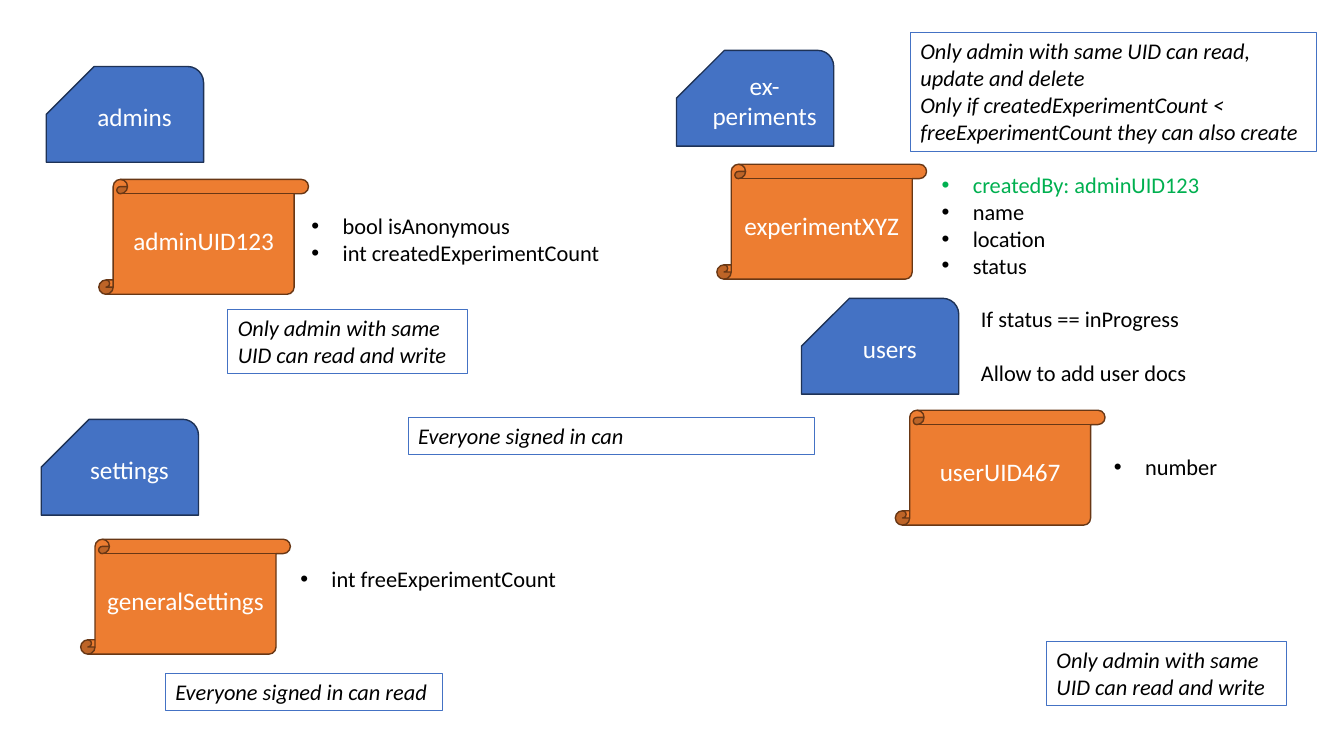
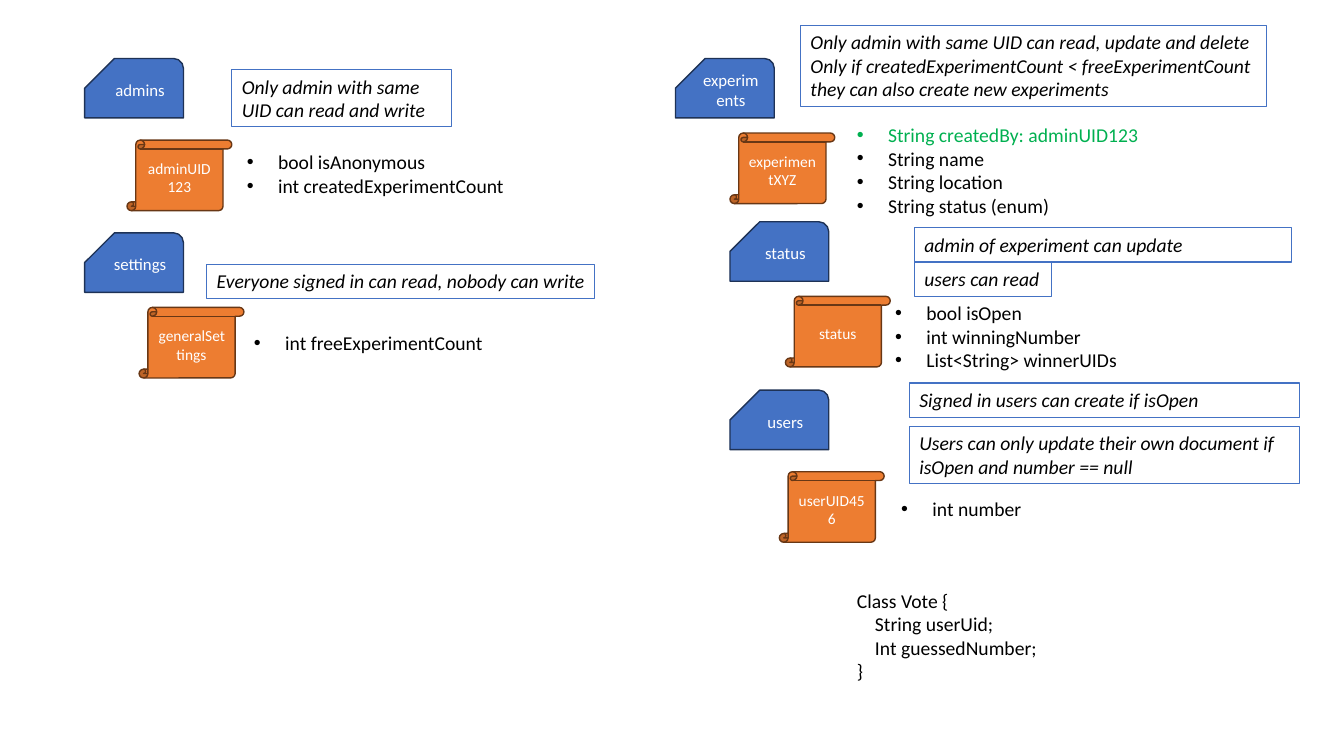
from dataclasses import dataclass

from lxml import etree
from pptx import Presentation
from pptx.dml.color import RGBColor
from pptx.enum.shapes import MSO_SHAPE
from pptx.enum.text import MSO_ANCHOR, MSO_AUTO_SIZE, PP_ALIGN
from pptx.oxml.ns import qn
from pptx.util import Inches, Pt

FOLDER = MSO_SHAPE.SNIP_ROUND_RECTANGLE
SCROLL = MSO_SHAPE.VERTICAL_SCROLL
MIDDLE = MSO_ANCHOR.MIDDLE
CENTER = PP_ALIGN.CENTER
GROW = MSO_AUTO_SIZE.SHAPE_TO_FIT_TEXT


@dataclass(frozen=True)
class Theme:
    font: str = "Calibri"
    blue: RGBColor = RGBColor(0x44, 0x72, 0xC4)
    blue_edge: RGBColor = RGBColor(0x1E, 0x32, 0x56)
    orange: RGBColor = RGBColor(0xED, 0x7D, 0x31)
    orange_edge: RGBColor = RGBColor(0x68, 0x37, 0x15)
    green: RGBColor = RGBColor(0x00, 0xB0, 0x50)
    black: RGBColor = RGBColor(0, 0, 0)
    white: RGBColor = RGBColor(0xFF, 0xFF, 0xFF)
    indent: float = 0.31
    code_indent: float = 0.18


@dataclass(frozen=True)
class Scale:
    folder: tuple
    scroll: tuple
    folder_text: int
    scroll_text: int
    body_text: int


theme = Theme()
large = Scale((1.56, 0.95), (2.08, 1.14), 18, 18, 16)
small = Scale((0.98, 0.59), (1.04, 0.7), 12, 11, 14)

ADMIN_ONLY = "Only admin with same UID can read and write"
EXPERIMENT_OWNER = "Only admin with same UID can read, update and delete"
EXPERIMENT_QUOTA = (
    "Only if createdExperimentCount < freeExperimentCount they can also create"
)

schemas = [
    {
        "scale": large,
        "collections": [
            ("admins", 0.46, 0.66),
            ("ex-periments", 6.71, 0.5),
            ("users", 7.95, 2.96),
            ("settings", 0.41, 4.16),
        ],
        "documents": [
            ("adminUID123", 0.98, 1.78),
            ("experimentXYZ", 7.11, 1.63),
            ("userUID467", 8.88, 4.07),
            ("generalSettings", 0.8, 5.35),
        ],
        "fields": [
            ((9.24, 1.65, 2.91, 1.18),
             ["createdBy: adminUID123", "name", "location", "status"]),
            ((2.99, 2.06, 3.15, 0.91),
             ["bool isAnonymous", "int createdExperimentCount"]),
            ((10.95, 4.45, 1.44, 0.37), ["number"]),
            ((2.88, 5.56, 3.7, 0.64), ["int freeExperimentCount"]),
        ],
        "rules": [
            ((1.64, 6.68, 2.75, 0.37), ["Everyone signed in can read"]),
            ((2.26, 3.07, 2.38, 0.64), [ADMIN_ONLY]),
            ((10.38, 6.36, 2.38, 0.64), [ADMIN_ONLY]),
            ((9.03, 0.32, 4.03, 1.18), [EXPERIMENT_OWNER, EXPERIMENT_QUOTA]),
            ((4.05, 4.14, 4.03, 0.37), ["Everyone signed in can"]),
        ],
    },
    {
        "scale": small,
        "collections": [
            ("admins", 0.84, 0.58),
            ("settings", 0.84, 2.31),
            ("experiments", 6.7, 0.58),
            ("status", 7.24, 2.2),
            ("users", 7.24, 3.87),
        ],
        "documents": [
            ("adminUID123", 1.26, 1.39),
            ("generalSettings", 1.38, 3.05),
            ("experimentXYZ", 7.24, 1.32),
            ("status", 7.79, 2.94),
            ("userUID456", 7.73, 4.68),
        ],
        "fields": [
            ((8.4, 1.17, 3.13, 1.04),
             ["String createdBy: adminUID123", "String name",
              "String location", "String status (enum)"]),
            ((2.35, 1.44, 2.84, 0.57),
             ["bool isAnonymous", "int createdExperimentCount"]),
            ((8.84, 4.88, 1.44, 0.34), ["int number"]),
            ((2.42, 3.23, 2.53, 0.34), ["int freeExperimentCount"]),
            ((8.78, 2.94, 2.77, 0.81),
             ["bool isOpen", "int winningNumber", "List<String> winnerUIDs"]),
        ],
        "rules": [
            ((2.05, 2.62, 3.85, 0.34),
             ["Everyone signed in can read, nobody can write"]),
            ((2.3, 0.69, 2.18, 0.57), [ADMIN_ONLY]),
            ((7.94, 0.25, 4.62, 0.81),
             [EXPERIMENT_OWNER, EXPERIMENT_QUOTA + " new experiments"]),
            ((9.02, 3.8, 3.87, 0.34), ["Signed in users can create if isOpen"]),
            ((9.02, 4.23, 3.87, 0.57),
             ["Users can only update their own document if isOpen and number == null"]),
            ((9.07, 2.26, 3.74, 0.34), ["admin of experiment can update"]),
            ((9.07, 2.6, 1.36, 0.34), ["users can read"]),
        ],
    },
]


def add_node(slide, preset, label, place, size, fill, edge, text_size):
    node = slide.shapes.add_shape(preset, *map(Inches, place + size))
    node.shadow.inherit = False
    node.fill.solid()
    node.fill.fore_color.rgb = fill
    node.line.color.rgb = edge
    node.line.width = Pt(1)
    frame = node.text_frame
    frame.word_wrap = True
    frame.vertical_anchor = MIDDLE
    caption = frame.paragraphs[0]
    caption.text = label
    caption.alignment = CENTER
    caption.font.name = theme.font
    caption.font.size = Pt(text_size)
    caption.font.color.rgb = theme.white
    return node


def add_lines(slide, box, lines, text_size):
    block = slide.shapes.add_textbox(*map(Inches, box))
    frame = block.text_frame
    frame.word_wrap = True
    frame.auto_size = GROW
    for index, line in enumerate(lines):
        paragraph = frame.paragraphs[0] if index == 0 else frame.add_paragraph()
        paragraph.text = line
        paragraph.font.name = theme.font
        paragraph.font.size = Pt(text_size)
        paragraph.font.color.rgb = theme.black
    return block


prs = Presentation()
prs.slide_width = Inches(13.33)
prs.slide_height = Inches(7.5)

for schema in schemas:
    slide = prs.slides.add_slide(prs.slide_layouts[6])
    scale = schema["scale"]

    for label, *place in schema["collections"]:
        folder = add_node(slide, FOLDER, label, tuple(place), scale.folder,
                          theme.blue, theme.blue_edge, scale.folder_text)
        folder.adjustments[0] = 0.167
        folder.adjustments[1] = 0.5
        folder.element.spPr.find(qn("a:xfrm")).set("flipH", "1")

    for label, *place in schema["documents"]:
        add_node(slide, SCROLL, label, tuple(place), scale.scroll,
                 theme.orange, theme.orange_edge, scale.scroll_text)

    for box, names in schema["fields"]:
        field_list = add_lines(slide, box, names, scale.body_text)
        for field in field_list.text_frame.paragraphs:
            if "createdBy:" in field.text:
                field.font.color.rgb = theme.green
            properties = field._p.get_or_add_pPr()
            properties.set("marL", str(Inches(theme.indent)))
            properties.set("indent", str(-Inches(theme.indent)))
            bullet_font = etree.Element(qn("a:buFont"), typeface="Arial")
            bullet = etree.Element(qn("a:buChar"), char="•")
            properties.insert(0, bullet_font)
            properties.insert(1, bullet)

    for box, sentences in schema["rules"]:
        rule = add_lines(slide, box, sentences, scale.body_text)
        rule.line.color.rgb = theme.blue
        rule.line.width = Pt(0.75)
        for sentence in rule.text_frame.paragraphs:
            sentence.font.italic = True

overview, detail = prs.slides

condition = add_lines(overview, (9.63, 2.98, 2.52, 1.18),
                      ["If status == inProgress", "Allow to add user docs"],
                      large.body_text)
condition.text_frame.paragraphs[1].space_before = Pt(19.5)

vote_class = add_lines(detail, (8.4, 5.79, 2.6, 1.04),
                       ["Class Vote {", "String userUid;", "Int guessedNumber;", "}"],
                       small.body_text)
for member in vote_class.text_frame.paragraphs[1:3]:
    member._p.get_or_add_pPr().set("marL", str(Inches(theme.code_indent)))

prs.save("out.pptx")
